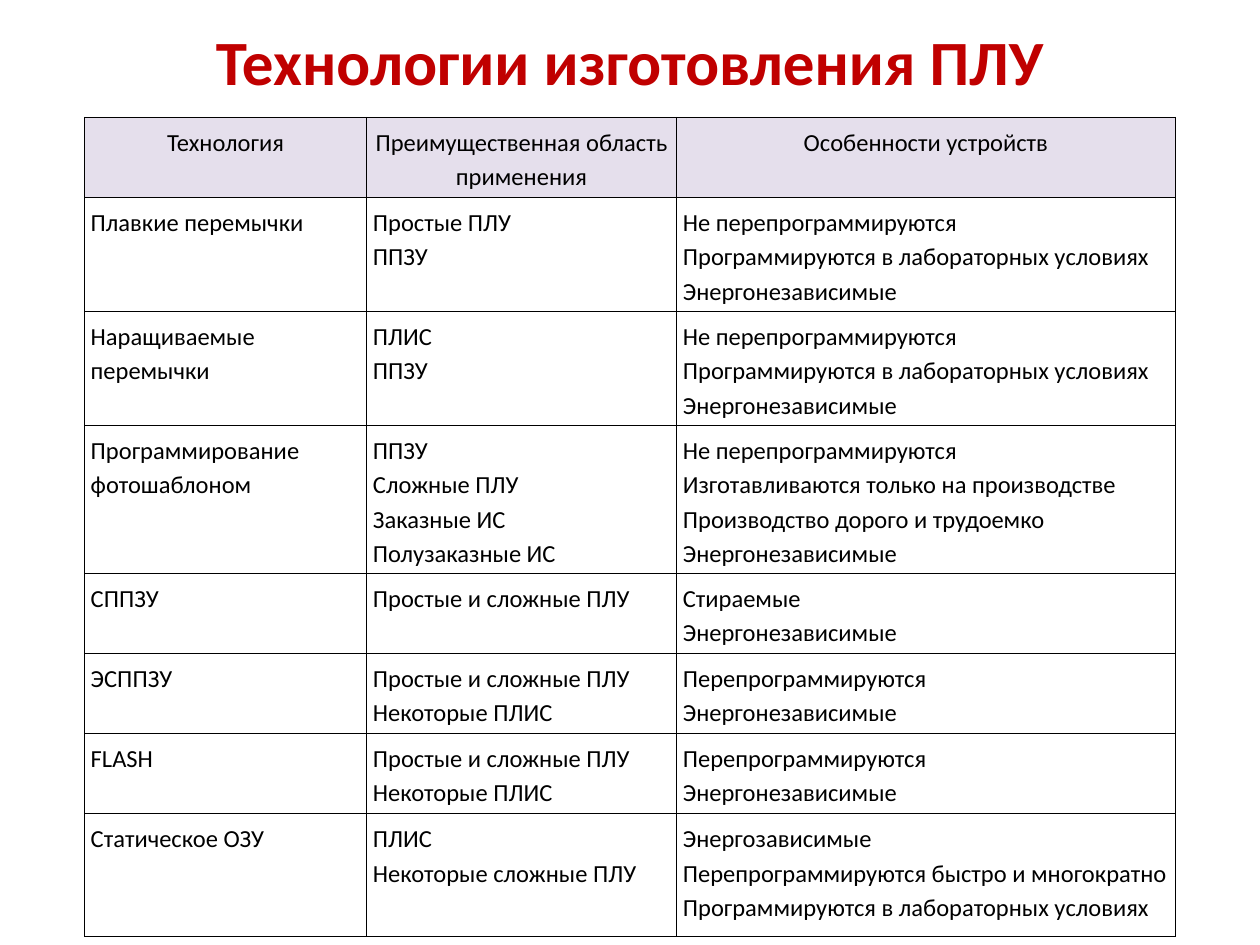
import pptx
import pptx.dml.color
import pptx.enum.text
import pptx.util
from lxml import etree
from pptx.oxml.ns import qn

Inches = pptx.util.Inches
Pt = pptx.util.Pt
ALIGN = pptx.enum.text.PP_ALIGN
ANCHOR = pptx.enum.text.MSO_ANCHOR

COLORS = {"title": "C00000", "text": "000000", "border": "000000",
          "header": "E5DFEC", "body": "FFFFFF"}

# Repeated cell wording
FIXED = "Не перепрограммируются"
LAB = "Программируются в лабораторных условиях"
NONVOLATILE = "Энергонезависимые"
ANY_PLD = "Простые и сложные ПЛУ"
SOME_FPGA = "Некоторые ПЛИС"
REPROGRAMMABLE = "Перепрограммируются"

# Each cell is a list of paragraphs
ROWS = [
    (["Технология"], ["Преимущественная область применения"], ["Особенности устройств"]),
    (["Плавкие перемычки"], ["Простые ПЛУ", "ППЗУ"], [FIXED, LAB, NONVOLATILE]),
    (["Наращиваемые перемычки"], ["ПЛИС", "ППЗУ"], [FIXED, LAB, NONVOLATILE]),
    (["Программирование фотошаблоном"],
     ["ППЗУ", "Сложные ПЛУ", "Заказные ИС", "Полузаказные ИС"],
     [FIXED, "Изготавливаются только на производстве",
      "Производство дорого и трудоемко", NONVOLATILE]),
    (["СППЗУ"], [ANY_PLD], ["Стираемые", NONVOLATILE]),
    (["ЭСППЗУ"], [ANY_PLD, SOME_FPGA], [REPROGRAMMABLE, NONVOLATILE]),
    (["FLASH"], [ANY_PLD, SOME_FPGA], [REPROGRAMMABLE, NONVOLATILE]),
    (["Статическое ОЗУ"], ["ПЛИС", "Некоторые сложные ПЛУ"],
     ["Энергозависимые", "Перепрограммируются быстро и многократно", LAB]),
]
COLUMN_WIDTHS = [2.24, 2.46, 3.96]
ROW_HEIGHTS = [0.54, 0.81, 0.81, 1.07, 0.54, 0.54, 0.54, 0.97]


class SlideBuilder:
    font_name = "Calibri"
    border_width = Pt(0.45)
    cell_margin = Inches(0.05)

    def __init__(self, slide):
        self.slide = slide

    def color(self, name):
        return pptx.dml.color.RGBColor.from_string(COLORS[name])

    def style(self, paragraph, size, color, align, bold=False):
        paragraph.alignment = align
        font = paragraph.font
        font.name, font.size, font.bold = self.font_name, Pt(size), bold
        font.color.rgb = self.color(color)

    def title(self, text, left, top, width, height):
        box = self.slide.shapes.add_textbox(
            Inches(left), Inches(top), Inches(width), Inches(height))
        frame = box.text_frame
        frame.word_wrap = True
        frame.vertical_anchor = ANCHOR.MIDDLE
        frame.text = text
        self.style(frame.paragraphs[0], 36, "title", ALIGN.CENTER, bold=True)

    def borders(self, cell):
        properties = cell._tc.get_or_add_tcPr()
        for side in ("a:lnL", "a:lnR", "a:lnT", "a:lnB"):
            line = etree.SubElement(properties, qn(side), w=str(int(self.border_width)))
            fill = etree.SubElement(line, qn("a:solidFill"))
            etree.SubElement(fill, qn("a:srgbClr"), val=COLORS["border"])

    def cell(self, cell, lines, is_header):
        cell.margin_left = cell.margin_right = self.cell_margin
        cell.margin_top = cell.margin_bottom = self.cell_margin
        self.borders(cell)
        cell.fill.solid()
        cell.fill.fore_color.rgb = self.color("header" if is_header else "body")
        cell.text_frame.text = "\n".join(lines)
        for paragraph in cell.text_frame.paragraphs:
            paragraph.line_spacing = 1.15
            self.style(paragraph, 14, "text", ALIGN.CENTER if is_header else ALIGN.LEFT)

    def table(self, rows, left, top, widths, heights):
        table = self.slide.shapes.add_table(
            len(rows), len(widths), Inches(left), Inches(top),
            Inches(sum(widths)), Inches(sum(heights))).table
        table.horz_banding = False
        for column, width in zip(table.columns, widths):
            column.width = Inches(width)
        for row_index, (row, height) in enumerate(zip(rows, heights)):
            table.rows[row_index].height = Inches(height)
            for column_index, lines in enumerate(row):
                self.cell(table.cell(row_index, column_index), lines, row_index == 0)


def main():
    deck = pptx.Presentation()
    deck.slide_width, deck.slide_height = Inches(10), Inches(7.5)
    builder = SlideBuilder(deck.slides.add_slide(deck.slide_layouts[6]))

    # Heading
    builder.title("Технологии изготовления ПЛУ", 0.5, 0.13, 9, 0.69)

    # Technology comparison
    builder.table(ROWS, 0.67, 0.93, COLUMN_WIDTHS, ROW_HEIGHTS)

    deck.save("out.pptx")


if __name__ == "__main__":
    main()
